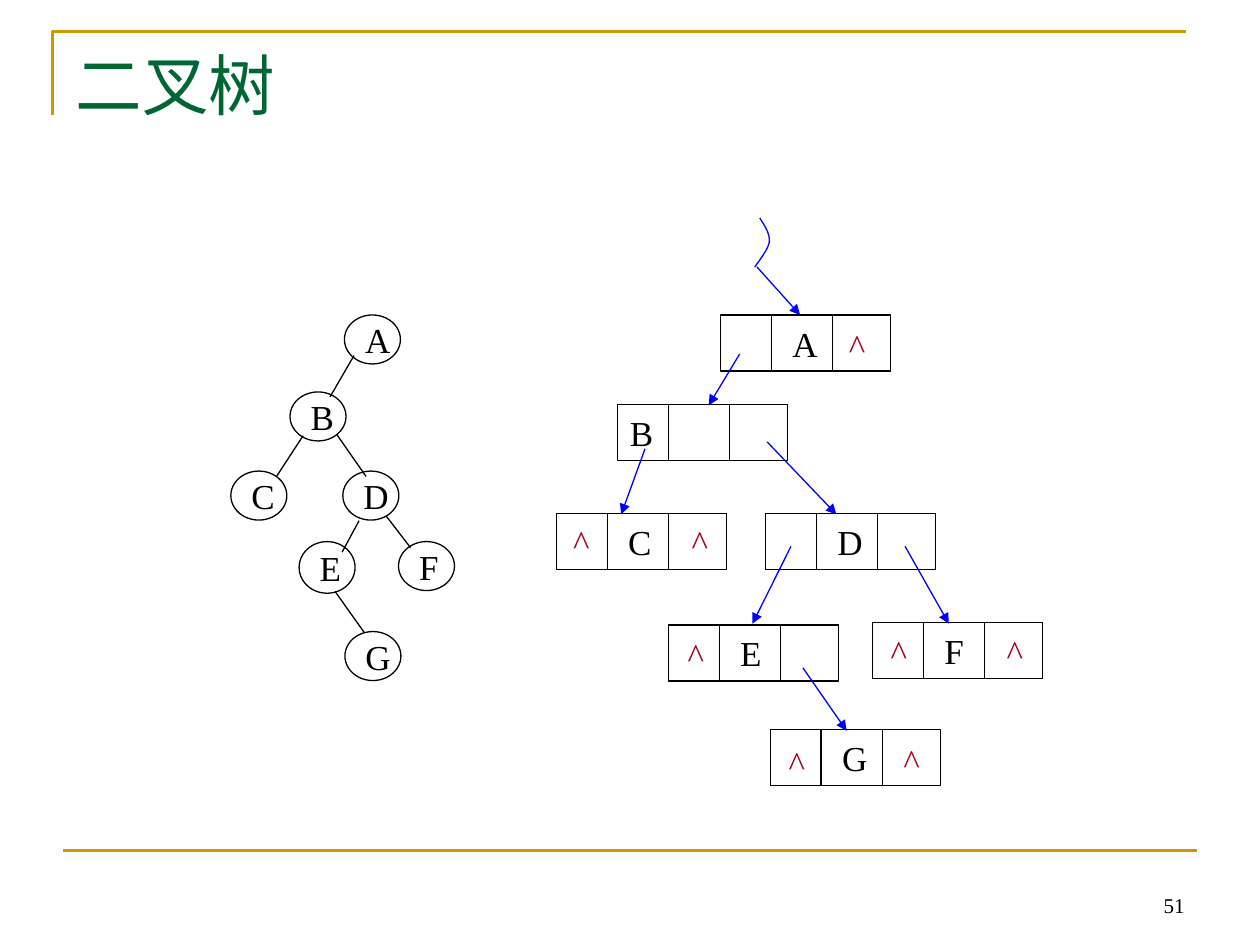
from lxml.etree import SubElement
from pptx import Presentation
from pptx.dml.color import RGBColor
from pptx.enum.shapes import MSO_CONNECTOR, MSO_SHAPE
from pptx.enum.text import MSO_ANCHOR, MSO_AUTO_SIZE, PP_ALIGN
from pptx.oxml.ns import qn
from pptx.util import Pt

FONT = "Times New Roman"
BLACK, BLUE, RED, GREEN, GOLD = "000000", "0000FF", "A50021", "006633", "CC9900"
RECORD_SIZE = (97.2, 32)
DIVIDERS = (29, 64)
MARK_SIZE = (24, 32)

# letter: (left, top, letter inset, offsets of the empty-pointer marks)
RECORDS = {
    "A": (411.8, 180, 41, [(66.2, 1.4)]),
    "B": (352.8, 231.1, 7.2, []),
    "C": (318, 293.5, 41, [(2.4, 0), (70.1, 0)]),
    "D": (437.5, 293.4, 41, []),
    "E": (382, 357.1, 41, [(3.9, 0.7)]),
    "F": (498.6, 355.8, 41, [(3.2, 0.6), (69.5, 0.6)]),
    "G": (440.2, 416.8, 41, [(3.3, 3), (68.9, 1.5)]),
}
POINTERS = [
    ((432.5, 152.5), (457.2, 180)),
    ((422.7, 202.3), (405, 231.6)),
    ((368.6, 256.5), (355, 293.9)),
    ((438.4, 252.5), (478, 294)),
    ((452, 312.2), (430, 356.4)),
    ((517.2, 312.2), (542.2, 356.4)),
    ((458.8, 381.6), (483.8, 417.6)),
]
# letter: (left, top, height)
NODES = {
    "A": (196.8, 180, 28),
    "B": (165.7, 224, 28),
    "C": (131.9, 269.2, 28),
    "D": (195.9, 269.2, 28),
    "E": (170.9, 309.5, 29.5),
    "F": (227.7, 309.5, 28),
    "G": (197.1, 360.9, 28),
}
BRANCHES = [
    ((202.3, 203.2), (188.6, 226.8)),
    ((173.2, 249), (158, 272.3)),
    ((192.6, 248.5), (209.2, 272.3)),
    ((205.2, 297.5), (195.5, 315.5)),
    ((220.6, 294.8), (234.6, 313)),
    ((191.5, 338), (208.2, 361.5)),
]


def rgb(color):
    return RGBColor.from_string(color)


def write(shape, text, size=20, color=BLACK, align=PP_ALIGN.LEFT,
          anchor=MSO_ANCHOR.MIDDLE, wrap=False, inset=7.2):
    frame = shape.text_frame
    frame.auto_size = MSO_AUTO_SIZE.NONE
    frame.word_wrap = wrap
    frame.vertical_anchor = anchor
    frame.margin_left, frame.margin_right = Pt(inset), Pt(7.2)
    frame.margin_top = frame.margin_bottom = Pt(3.6)
    paragraph = frame.paragraphs[0]
    paragraph.text = text
    paragraph.alignment = align
    font = paragraph.runs[0].font
    font.name, font.size, font.color.rgb = FONT, Pt(size), rgb(color)


def add_label(slide, text, left, top, width, height, **text_format):
    box = slide.shapes.add_textbox(Pt(left), Pt(top), Pt(width), Pt(height))
    write(box, text, **text_format)


def outline(shape, color, width):
    shape.shadow.inherit = False
    shape.fill.background()
    shape.line.color.rgb = rgb(color)
    shape.line.width = Pt(width)


def add_outlined(slide, preset, left, top, width, height):
    shape = slide.shapes.add_shape(preset, Pt(left), Pt(top), Pt(width), Pt(height))
    outline(shape, BLACK, 0.75)
    return shape


def add_line(slide, start, end, color=BLACK, width=0.75, arrow=False):
    line = slide.shapes.add_connector(
        MSO_CONNECTOR.STRAIGHT, *(Pt(value) for value in (*start, *end)))
    line.line.color.rgb = rgb(color)
    line.line.width = Pt(width)
    properties = line._element.spPr
    if arrow:
        SubElement(properties.find(qn("a:ln")), qn("a:tailEnd"), type="triangle")
    SubElement(properties, qn("a:effectLst"))


def add_path(slide, points, color, width):
    start, *rest = [(Pt(x), Pt(y)) for x, y in points]
    builder = slide.shapes.build_freeform(*start)
    builder.add_line_segments(rest, close=False)
    outline(builder.convert_to_shape(), color, width)


def bezier(p0, p1, p2, p3, steps=10):
    """Return points along a cubic curve, both ends included."""
    points = []
    for step in range(steps + 1):
        t = step / steps
        points.append(tuple(
            (1 - t) ** 3 * a + 3 * (1 - t) ** 2 * t * b + 3 * (1 - t) * t ** 2 * c + t ** 3 * d
            for a, b, c, d in zip(p0, p1, p2, p3)))
    return points


def add_record(slide, letter, left, top, inset, marks):
    width, height = RECORD_SIZE
    record = add_outlined(slide, MSO_SHAPE.RECTANGLE, left, top, width, height)
    write(record, letter, inset=inset, wrap=True)
    for offset in DIVIDERS:
        add_line(slide, (left + offset, top), (left + offset, top + height))
    for dx, dy in marks:
        add_label(slide, "^", left + dx, top + dy, *MARK_SIZE, color=RED)


def add_root_pointer(slide):
    upper = bezier((434.2, 124.6), (437, 128.9), (439.9, 133.2), (439.7, 138))
    lower = bezier((439.7, 138), (439.2, 142.6), (432.7, 150.5), (431.3, 152.6))
    add_path(slide, upper + lower[1:], BLUE, 0.75)


def add_title(slide, text):
    title = slide.shapes.title
    title.left, title.top, title.width, title.height = Pt(36), Pt(21.6), Pt(648), Pt(90)
    write(title, text, size=38, color=GREEN, anchor=MSO_ANCHOR.TOP, wrap=True)


def main():
    deck = Presentation()
    deck.slide_width, deck.slide_height = Pt(720), Pt(540)
    slide = deck.slides.add_slide(deck.slide_layouts[5])

    add_path(slide, [(30, 66), (30, 18), (678, 18)], GOLD, 1.5)
    add_line(slide, (36, 486), (684, 486), GOLD, 1.5)
    add_title(slide, "二叉树")

    for letter, (left, top, height) in NODES.items():
        write(add_outlined(slide, MSO_SHAPE.OVAL, left, top, 32, height), letter)
    for start, end in BRANCHES:
        add_line(slide, start, end)

    for letter, record in RECORDS.items():
        add_record(slide, letter, *record)
    add_root_pointer(slide)
    for start, end in POINTERS:
        add_line(slide, start, end, BLUE, arrow=True)

    add_label(slide, "51", 516, 492, 168, 36, size=12, align=PP_ALIGN.RIGHT,
              anchor=MSO_ANCHOR.BOTTOM, wrap=True)
    deck.save("out.pptx")


if __name__ == "__main__":
    main()
